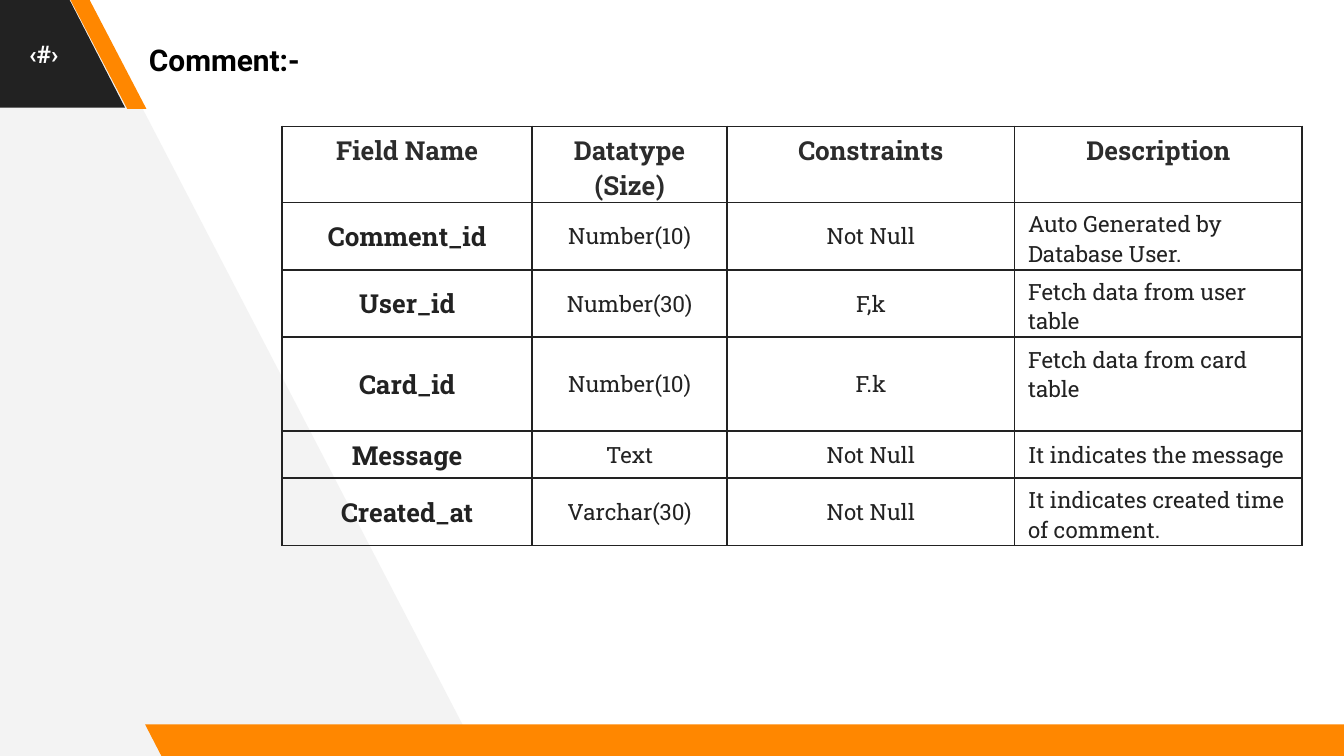
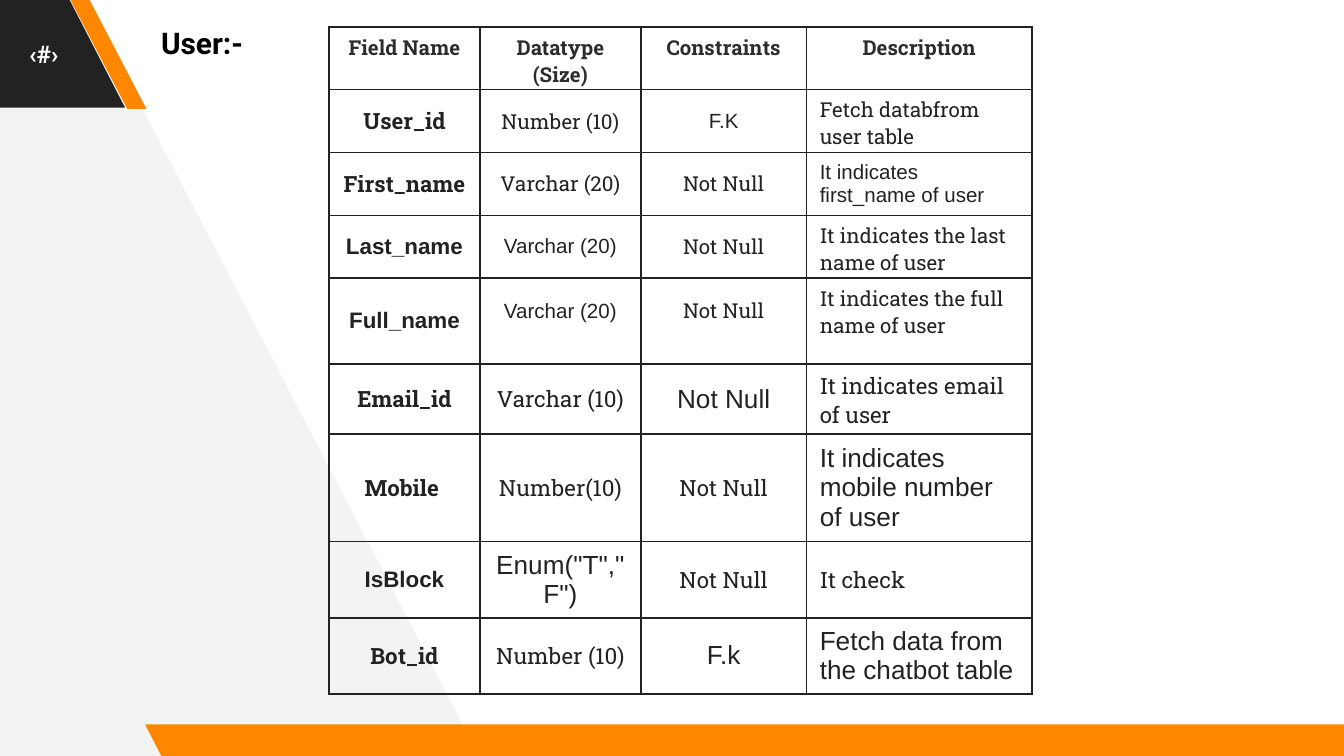
from dataclasses import dataclass

from lxml import etree
from pptx import Presentation
from pptx.dml.color import RGBColor
from pptx.enum import shapes, text
from pptx.oxml import ns
from pptx.util import Inches, Pt

COLORS = {
    "ink": "222222",
    "heading": "2C2C2C",
    "title": "000000",
    "accent": "FF8700",
    "pale": "F3F3F3",
    "white": "FFFFFF",
}
SANS, SLAB, PLAIN = "Roboto", "Roboto Slab", "Arial"
HEADINGS = ("Field Name", "Datatype (Size)", "Constraints", "Description")
HEADING_HEIGHT = 0.46
WEDGE = ((3.5, 5.58), (0.56, -0.08), (-0.12, -0.08), (-0.08, 5.62))
WEDGE_SHIFT = (0.06, 0.04)


@dataclass(frozen=True)
class Band:
    left: float
    top: float
    width: float
    height: float
    slant: float
    color: str


@dataclass(frozen=True)
class Entry:
    """Cell text; an unset size follows the row, lift raises it in the cell."""
    text: str
    font: str = SLAB
    size: float | None = None
    lift: float = 0


@dataclass(frozen=True)
class Field:
    """One database field: name, datatype, constraint and description."""
    height: float
    size: float
    entries: tuple[Entry, ...]


@dataclass(frozen=True)
class Schema:
    title: str
    title_at: tuple[float, float]
    table_at: tuple[float, float]
    columns: tuple[float, ...]
    heading_size: float
    name_size: float
    fields: tuple[Field, ...]


BANDS = (
    Band(-0.99, -0.02, 1.92, 0.82, 0.515, "ink"),
    Band(0.52, -0.01, 0.57, 0.82, 0.75, "accent"),
    Band(1.08, 5.39, 9.15, 0.25, 0.515, "accent"),
)


def field(height: float, size: float, *entries: str | Entry) -> Field:
    return Field(height, size, tuple(
        Entry(entry) if isinstance(entry, str) else entry for entry in entries))


LIFT = 0.15
SCHEMAS = (
    Schema(
        "Comment:-", (1.01, 0.13), (2.1, 0.94), (1.86, 1.45, 2.14, 2.14), 14, 14,
        (
            field(0.41, 12, "Comment_id", "Number(10)", "Not Null",
                  "Auto Generated by Database User."),
            field(0.5, 12, "User_id", "Number(30)", "F,k",
                  "Fetch data from user table"),
            field(0.7, 12, "Card_id", "Number(10)", "F.k",
                  Entry("Fetch data from card table", lift=LIFT)),
            field(0.35, 12, "Message", "Text", "Not Null",
                  "It indicates the message"),
            field(0.41, 12, "Created_at", "Varchar(30)", "Not Null",
                  "It indicates created time of comment."),
        ),
    ),
    Schema(
        "User:-", (1.1, 0), (2.45, 0.2), (1.12, 1.2, 1.23, 1.68), 11, 12,
        (
            field(0.4, 11, "User_id", "Number (10)", Entry("F.K", PLAIN),
                  "Fetch databfrom user table"),
            field(0.4, 11, "First_name", "Varchar (20)", "Not Null",
                  Entry("It indicates first_name of user", PLAIN)),
            field(0.4, 11, Entry("Last_name", PLAIN),
                  Entry("Varchar (20)", PLAIN), "Not Null",
                  "It indicates the last name of user"),
            field(0.64, 11, Entry("Full_name", PLAIN),
                  Entry("Varchar (20)", PLAIN, lift=LIFT),
                  Entry("Not Null", lift=LIFT),
                  Entry("It indicates the full name of user", lift=LIFT)),
            field(0.52, 12, "Email_id", "Varchar (10)",
                  Entry("Not Null", PLAIN, 14), "It indicates email of user"),
            field(0.52, 12, "Mobile ", "Number(10)", "Not Null",
                  Entry("It indicates mobile number of user", PLAIN, 14)),
            field(0.52, 12, Entry("IsBlock", PLAIN),
                  Entry('Enum("T","F")', PLAIN, 14), "Not Null", "It check"),
            field(0.52, 12, "Bot_id", "Number (10)", Entry("F.k", PLAIN, 14),
                  Entry("Fetch data from the chatbot table", PLAIN, 14)),
        ),
    ),
)


def rgb(name: str) -> RGBColor:
    return RGBColor.from_string(COLORS[name])


def paint(shape, color: str) -> None:
    """Flat fill without outline or shadow."""
    shape.shadow.inherit = False
    shape.fill.solid()
    shape.fill.fore_color.rgb = rgb(color)
    shape.line.fill.background()


def write(frame, words: str, font: str, size: float, color: str,
          bold: bool = True, centred: bool = False) -> None:
    frame.text = words
    frame.word_wrap = True
    paragraph = frame.paragraphs[0]
    paragraph.alignment = text.PP_ALIGN.CENTER if centred else text.PP_ALIGN.LEFT
    for run in paragraph.runs:
        run.font.name = font
        run.font.size = Pt(size)
        run.font.bold = bold
        run.font.color.rgb = rgb(color)


def add_backdrop(slide) -> None:
    """Pale wedge, slanted bands and the slide number mark."""
    points = [tuple(Inches(value + shift) for value, shift in zip(point, WEDGE_SHIFT))
              for point in WEDGE]
    builder = slide.shapes.build_freeform(*points[0])
    builder.add_line_segments(points[1:], close=True)
    paint(builder.convert_to_shape(), "pale")

    for band in BANDS:
        slant = slide.shapes.add_shape(
            shapes.MSO_SHAPE.PARALLELOGRAM, Inches(band.left), Inches(band.top),
            Inches(band.width), Inches(band.height))
        slant.adjustments[0] = band.slant
        slant._element.spPr.find(ns.qn("a:xfrm")).set("flipH", "1")
        paint(slant, band.color)

    number = slide.shapes.add_textbox(0, 0, Inches(0.65), Inches(0.8)).text_frame
    number.vertical_anchor = text.MSO_ANCHOR.MIDDLE
    number.margin_top = number.margin_bottom = Inches(0.1)
    write(number, "‹#›", SANS, 13, "white", centred=True)


def add_title(slide, schema: Schema) -> None:
    left, top = schema.title_at
    title = slide.shapes.add_textbox(
        Inches(left), Inches(top), Inches(1.71), Inches(0.46)).text_frame
    write(title, schema.title, SANS, 16, "title")
    title.auto_size = text.MSO_AUTO_SIZE.SHAPE_TO_FIT_TEXT
    title.paragraphs[0].line_spacing = 1.5


def outline(cell) -> None:
    """Clear the cell's fill and rule all four of its sides."""
    cell.fill.background()
    properties = cell._tc.get_or_add_tcPr()
    for position, side in enumerate(("lnL", "lnR", "lnT", "lnB")):
        border = etree.Element(ns.qn(f"a:{side}"), w=str(Pt(1)))
        fill = etree.SubElement(border, ns.qn("a:solidFill"))
        etree.SubElement(fill, ns.qn("a:srgbClr"), val=COLORS["ink"])
        properties.insert(position, border)


def add_schema_table(slide, schema: Schema) -> None:
    heights = [HEADING_HEIGHT, *(row.height for row in schema.fields)]
    left, top = schema.table_at
    table = slide.shapes.add_table(
        len(heights), len(schema.columns), Inches(left), Inches(top),
        Inches(sum(schema.columns)), Inches(sum(heights))).table
    table.first_row = table.horz_banding = False
    for column, width in zip(table.columns, schema.columns):
        column.width = Inches(width)
    for row, height in zip(table.rows, heights):
        row.height = Inches(height)
    for cell in table.iter_cells():
        outline(cell)

    for index, heading in enumerate(HEADINGS):
        write(table.cell(0, index).text_frame, heading, SLAB,
              schema.heading_size, "heading", centred=True)
    for row_index, row in enumerate(schema.fields, start=1):
        for index, entry in enumerate(row.entries):
            is_name = index == 0
            cell = table.cell(row_index, index)
            cell.vertical_anchor = text.MSO_ANCHOR.MIDDLE
            cell.margin_bottom = Inches(0.05 + entry.lift)
            size = entry.size or (schema.name_size if is_name else row.size)
            write(cell.text_frame, entry.text, entry.font, size, "ink",
                  bold=is_name, centred=index < len(HEADINGS) - 1)


def main() -> None:
    deck = Presentation()
    deck.slide_width = Inches(10)
    deck.slide_height = deck.slide_width * 9 // 16
    for schema in SCHEMAS:
        slide = deck.slides.add_slide(deck.slide_layouts[6])
        add_backdrop(slide)
        add_title(slide, schema)
        add_schema_table(slide, schema)
    deck.save("out.pptx")


if __name__ == "__main__":
    main()
